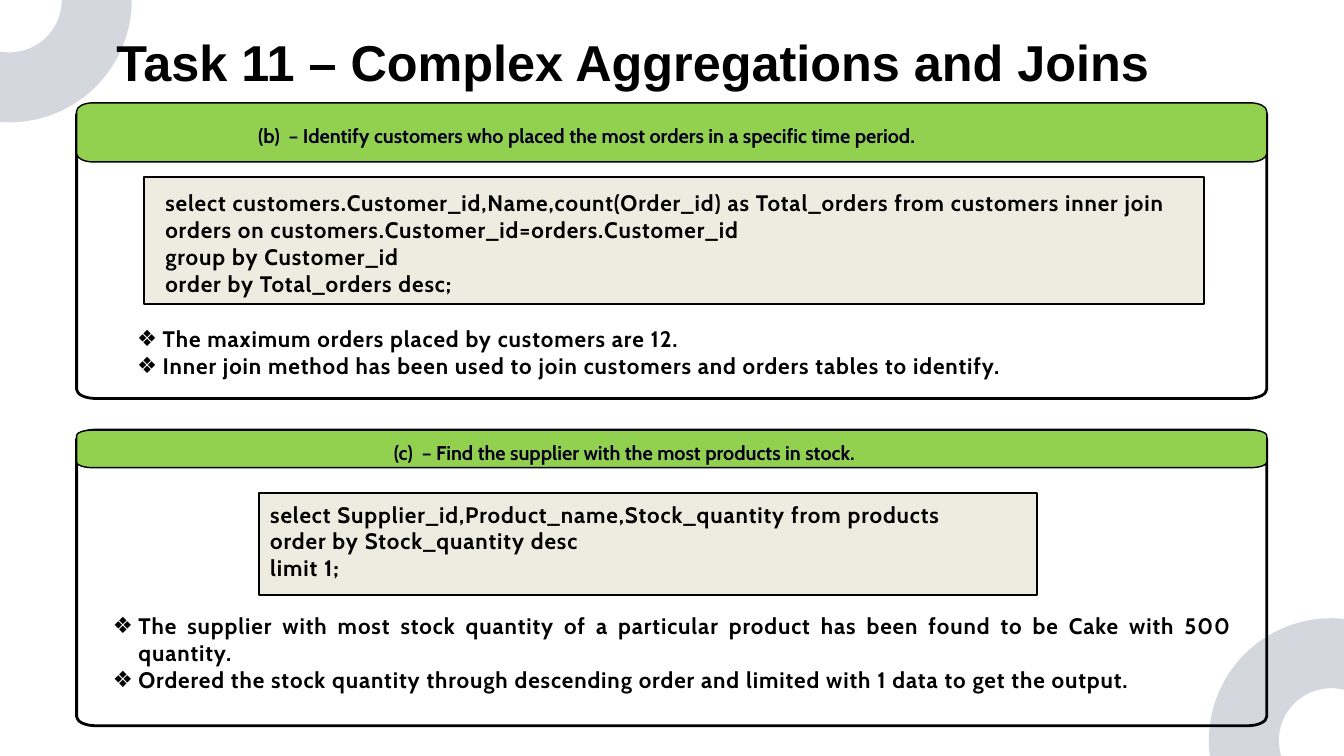
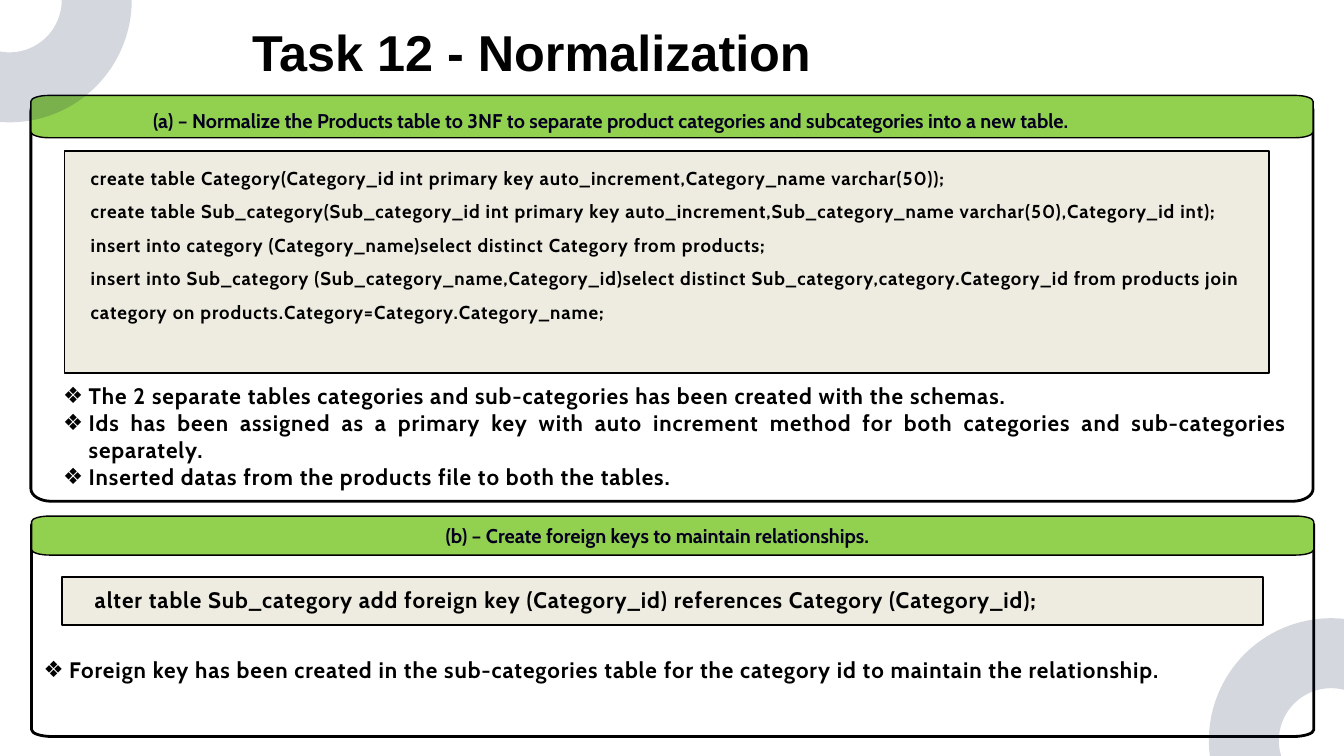
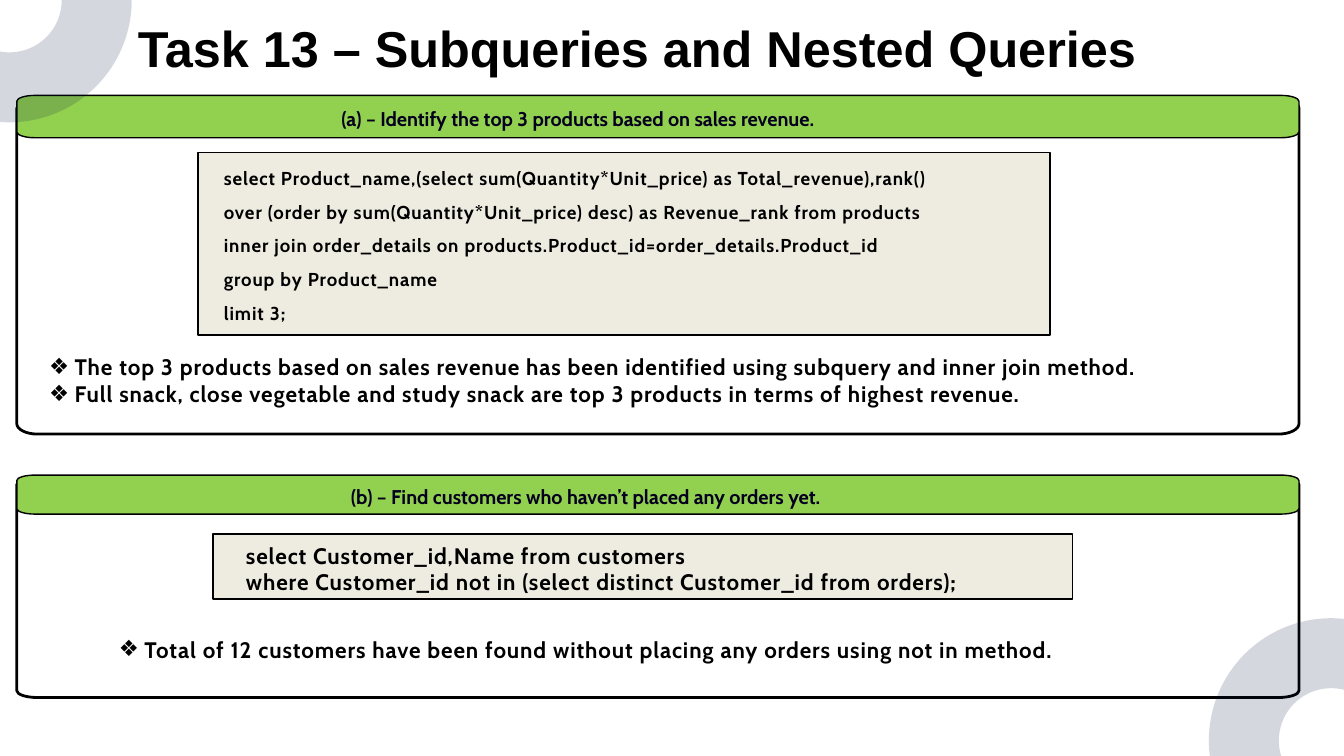
"""Builds three SQL task slides, each with two headed panels of code and findings."""
from lxml import etree
from pptx import Presentation
from pptx import util as u
from pptx.dml.color import RGBColor
from pptx.enum import shapes, text
from pptx.oxml.ns import qn

BLACK, WHITE, GREEN, CREAM = "000000", "FFFFFF", "92D050", "EEECE1"
HEADING_INK, RING_NAVY = "04001E", "051D40"
BODY_FONT, TITLE_FONT = "Cabin", "Arial"
COLUMNS = 20
LETTER_SPACING = 0.96
BULLET_INDENT = 0.38
CURVE = 0.55
RING_RADIUS = 1.3
RING_CENTRES = [(0.14, 0), (19.81, 11.02)]

SLIDES = [
    dict(
        title="Task 11 – Complex Aggregations and Joins",
        title_box=(1.73, 0.45, 16.95, 0.88),
        panels=[
            dict(
                frame=(1.14, 1.57, 17.71, 4.36), band=(1.53, 0.88),
                heading="(b)  – Identify customers who placed the most orders in a specific time period.",
                heading_box=(3.84, 1.84, 11.44, 0.36),
                code_frame=(2.14, 2.64, 15.78, 1.89), code_box=(2.46, 2.82, 15.78, 1.62),
                code=[
                    "select customers.Customer_id,Name,count(Order_id) as Total_orders from customers "
                    "inner join orders on customers.Customer_id=orders.Customer_id",
                    "group by Customer_id",
                    "order by Total_orders desc;",
                ],
                findings_box=(2.04, 4.84, 15.91, 0.81),
                findings=[
                    "The maximum orders placed by customers are 12.",
                    "Inner join method has been used to join customers and orders tables to identify.",
                ],
            ),
            dict(
                frame=(1.14, 6.4, 17.71, 4.4), band=(6.4, 0.56),
                heading="(c)  – Find the supplier with the most products in stock.",
                heading_box=(5.86, 6.56, 8.29, 0.36),
                code_frame=(3.85, 7.33, 11.58, 1.52), code_box=(4.02, 7.45, 11.58, 1.21),
                code=[
                    "select Supplier_id,Product_name,Stock_quantity from products",
                    "order by Stock_quantity desc",
                    "limit 1;",
                ],
                findings_box=(1.68, 9.11, 16.66, 1.62),
                findings=[
                    "The supplier with most stock quantity of a particular product has been found "
                    "to be Cake with 500 quantity.",
                    "Ordered the stock quantity through descending order and limited with 1 data "
                    "to get the output.",
                ],
            ),
        ],
    ),
    dict(
        title="Task 12 - Normalization",
        title_box=(3.75, 0.29, 9.38, 0.88),
        panels=[
            dict(
                frame=(0.46, 1.46, 19.08, 6), band=(1.42, 0.63),
                heading="(a) – Normalize the Products table to 3NF to separate product categories "
                        "and subcategories into a new table.",
                heading_box=(2.28, 1.62, 16.41, 0.36),
                code_frame=(0.96, 2.25, 17.92, 3.3), code_box=(1.35, 2.31, 17.42, 2.98),
                code_format=dict(size=20, line_spacing=1.5),
                code=[
                    "create table Category(Category_id int primary key auto_increment,"
                    "Category_name varchar(50));",
                    "create table Sub_category(Sub_category_id int primary key auto_increment,"
                    "Sub_category_name varchar(50),Category_id int);",
                    "insert into category (Category_name)select distinct Category from products;",
                    "insert into Sub_category (Sub_category_name,Category_id)select distinct "
                    "Sub_category,category.Category_id from products join category on "
                    "products.Category=Category.Category_name;",
                ],
                findings_box=(0.94, 5.69, 18.22, 2.02),
                findings=[
                    "The 2 separate tables categories and sub-categories has been created with "
                    "the schemas.",
                    "Ids has been assigned as a primary key with auto increment method for both "
                    "categories and sub-categories separately.",
                    "Inserted datas from the products file to both the tables.",
                ],
            ),
            dict(
                frame=(0.47, 7.71, 19.08, 3.25), band=(7.68, 0.58),
                heading="(b) – Create foreign keys to maintain relationships.",
                heading_box=(6.63, 7.79, 7.67, 0.36),
                code_frame=(0.92, 8.58, 17.88, 0.72), code_box=(1.41, 8.72, 17.29, 0.4),
                code=[
                    "alter table Sub_category add foreign key (Category_id) references "
                    "Category (Category_id);",
                ],
                findings_box=(0.65, 9.77, 18.22, 0.81),
                findings=[
                    "Foreign key has been created in the sub-categories table for the category id "
                    "to maintain the relationship.",
                ],
            ),
        ],
    ),
    dict(
        title="Task 13 – Subqueries and Nested Queries",
        title_box=(2.05, 0.24, 16.25, 0.88),
        panels=[
            dict(
                frame=(0.25, 1.46, 19.08, 5), band=(1.42, 0.63),
                heading="(a) – Identify the top 3 products based on sales revenue.",
                heading_box=(5.08, 1.58, 8.6, 0.36),
                code_frame=(2.95, 2.27, 12.67, 2.72), code_box=(3.33, 2.32, 12.12, 2.48),
                code_format=dict(size=20, line_spacing=1.5),
                code=[
                    "select Product_name,(select sum(Quantity*Unit_price) as Total_revenue),rank()",
                    "over (order by sum(Quantity*Unit_price) desc) as Revenue_rank from products",
                    "inner join order_details on products.Product_id=order_details.Product_id",
                    "group by Product_name",
                    "limit 3;",
                ],
                findings_box=(0.73, 5.26, 18.22, 0.81),
                findings=[
                    "The top 3 products based on sales revenue has been identified using subquery "
                    "and inner join method.",
                    "Full snack, close vegetable and study snack are top 3 products in terms of "
                    "highest revenue.",
                ],
            ),
            dict(
                frame=(0.25, 7.11, 19.08, 3.27), band=(7.07, 0.58),
                heading="(b) – Find customers who haven’t placed any orders yet.",
                heading_box=(5.22, 7.21, 8.67, 0.36),
                code_frame=(3.17, 7.95, 12.79, 0.97), code_box=(3.66, 8.06, 12.13, 0.81),
                code=[
                    "select Customer_id,Name from customers",
                    "where Customer_id not in (select distinct Customer_id from orders);",
                ],
                findings_box=(1.77, 9.46, 18.22, 0.4),
                findings=[
                    "Total of 12 customers have been found without placing any orders using not in method.",
                ],
            ),
        ],
    ),
]


def rgb(hex_color):
    return RGBColor.from_string(hex_color)


def add_bullet(paragraph, cell):
    properties = paragraph._p.get_or_add_pPr()
    indent = round(BULLET_INDENT * cell)
    properties.set("marL", str(indent))
    properties.set("indent", str(-indent))
    etree.SubElement(properties, qn("a:buChar")).set("char", "❖")


def write_paragraph(paragraph, wording, size=24, font=BODY_FONT, color=BLACK, spacing=0,
                    line_spacing=1.0, align=text.PP_ALIGN.LEFT):
    paragraph.text = wording
    paragraph.alignment = align
    paragraph.line_spacing = line_spacing
    paragraph.space_before = u.Pt(0)
    for run in paragraph.runs:
        run.font.size = u.Pt(size)
        run.font.name = font
        run.font.bold = True
        run.font.color.rgb = rgb(color)
        if spacing:
            run._r.get_or_add_rPr().set("spc", str(round(spacing * 100)))


def round_corners(shape):
    points = [(int(point.get("x")), int(point.get("y")))
              for point in shape.element.iter(qn("a:pt"))]
    segments = list(shape.element.iter(qn("a:lnTo")))
    for number in range(1, len(segments), 2):
        start, end = points[number], points[number + 1]
        vertex = (end[0], start[1]) if number % 4 == 1 else (start[0], end[1])
        handles = [[round(a + CURVE * (b - a)) for a, b in zip(anchor, vertex)]
                   for anchor in (start, end)]
        curve = etree.Element(qn("a:cubicBezTo"))
        for x, y in (*handles, end):
            etree.SubElement(curve, qn("a:pt"), x=str(x), y=str(y))
        segments[number].getparent().replace(segments[number], curve)


class Deck:
    def __init__(self):
        self.presentation = Presentation()
        self.presentation.slide_width = u.Inches(20)
        self.presentation.slide_height = u.Inches(11.25)
        self.cell = self.presentation.slide_width // COLUMNS
        self.slide = None

    def add_slide(self):
        self.slide = self.presentation.slides.add_slide(self.presentation.slide_layouts[3])

    def scale(self, *lengths):
        return [round(length * self.cell) for length in lengths]

    def prepare_frame(self, shape):
        frame = shape.text_frame
        frame.word_wrap = True
        frame.auto_size = text.MSO_AUTO_SIZE.NONE
        frame.vertical_anchor = text.MSO_ANCHOR.TOP
        frame.margin_left = frame.margin_top = frame.margin_right = frame.margin_bottom = 0
        return frame

    def placeholder(self, index, box):
        shape = self.slide.placeholders[index]
        shape.left, shape.top, shape.width, shape.height = self.scale(*box)
        self.slide.shapes.element.append(shape.element)
        return self.prepare_frame(shape)

    def title(self, wording, box):
        frame = self.placeholder(0, box)
        write_paragraph(frame.paragraphs[0], wording, size=54, font=TITLE_FONT,
                        line_spacing=u.Pt(66))

    def findings(self, index, sentences, box):
        frame = self.placeholder(index, box)
        for number, sentence in enumerate(sentences):
            paragraph = frame.add_paragraph() if number else frame.paragraphs[0]
            add_bullet(paragraph, self.cell)
            write_paragraph(paragraph, sentence, spacing=LETTER_SPACING,
                            align=text.PP_ALIGN.JUSTIFY)

    def text_box(self, wording, box, **text_format):
        shape = self.slide.shapes.add_textbox(*self.scale(*box))
        write_paragraph(self.prepare_frame(shape).paragraphs[0], wording, **text_format)

    def paint(self, shape, fill, line_width, line=BLACK):
        shape.shadow.inherit = False
        if fill:
            shape.fill.solid()
            shape.fill.fore_color.rgb = rgb(fill)
        else:
            shape.fill.background()
        shape.line.color.rgb = rgb(line)
        shape.line.width = u.Pt(line_width)

    def code_frame(self, box):
        shape = self.slide.shapes.add_shape(shapes.MSO_SHAPE.RECTANGLE, *self.scale(*box))
        self.paint(shape, CREAM, 2)

    def soft_box(self, box, corner, fill, line_width):
        left, top, width, height = box
        right, bottom = left + width, top + height
        radius_x, radius_y = corner[0] * width, corner[1] * height
        start = (left + radius_x, top)
        outline = [
            (right - radius_x, top), (right, top + radius_y),
            (right, bottom - radius_y), (right - radius_x, bottom),
            (left + radius_x, bottom), (left, bottom - radius_y),
            (left, top + radius_y), start,
        ]
        builder = self.slide.shapes.build_freeform(*self.scale(*start))
        builder.add_line_segments([self.scale(*point) for point in outline], close=True)
        shape = builder.convert_to_shape()
        round_corners(shape)
        self.paint(shape, fill, line_width)

    def ring(self, centre_x, centre_y):
        box = self.scale(centre_x - RING_RADIUS, centre_y - RING_RADIUS,
                         2 * RING_RADIUS, 2 * RING_RADIUS)
        shape = self.slide.shapes.add_shape(shapes.MSO_SHAPE.OVAL, *box)
        self.paint(shape, None, 75, RING_NAVY)
        color = shape.element.spPr.find(".//" + qn("a:srgbClr"))
        etree.SubElement(color, qn("a:alpha")).set("val", "16000")

    def panel(self, index, panel):
        left, _, width, _ = panel["frame"]
        band_top, band_height = panel["band"]
        self.soft_box(panel["frame"], (0.016, 0.031), WHITE, 3)
        self.code_frame(panel["code_frame"])
        self.soft_box((left, band_top, width, band_height), (0.014, 0.14), GREEN, 1.5)
        self.text_box(panel["heading"], panel["heading_box"], size=21.3, color=HEADING_INK)
        self.text_box("\v".join(panel["code"]), panel["code_box"], spacing=LETTER_SPACING,
                      **panel.get("code_format", {}))
        self.findings(index, panel["findings"], panel["findings_box"])


def main():
    deck = Deck()
    for content in SLIDES:
        deck.add_slide()
        deck.title(content["title"], content["title_box"])
        for index, panel in enumerate(content["panels"], start=1):
            deck.panel(index, panel)
        for centre in RING_CENTRES:
            deck.ring(*centre)
    deck.presentation.save("out.pptx")


if __name__ == "__main__":
    main()
